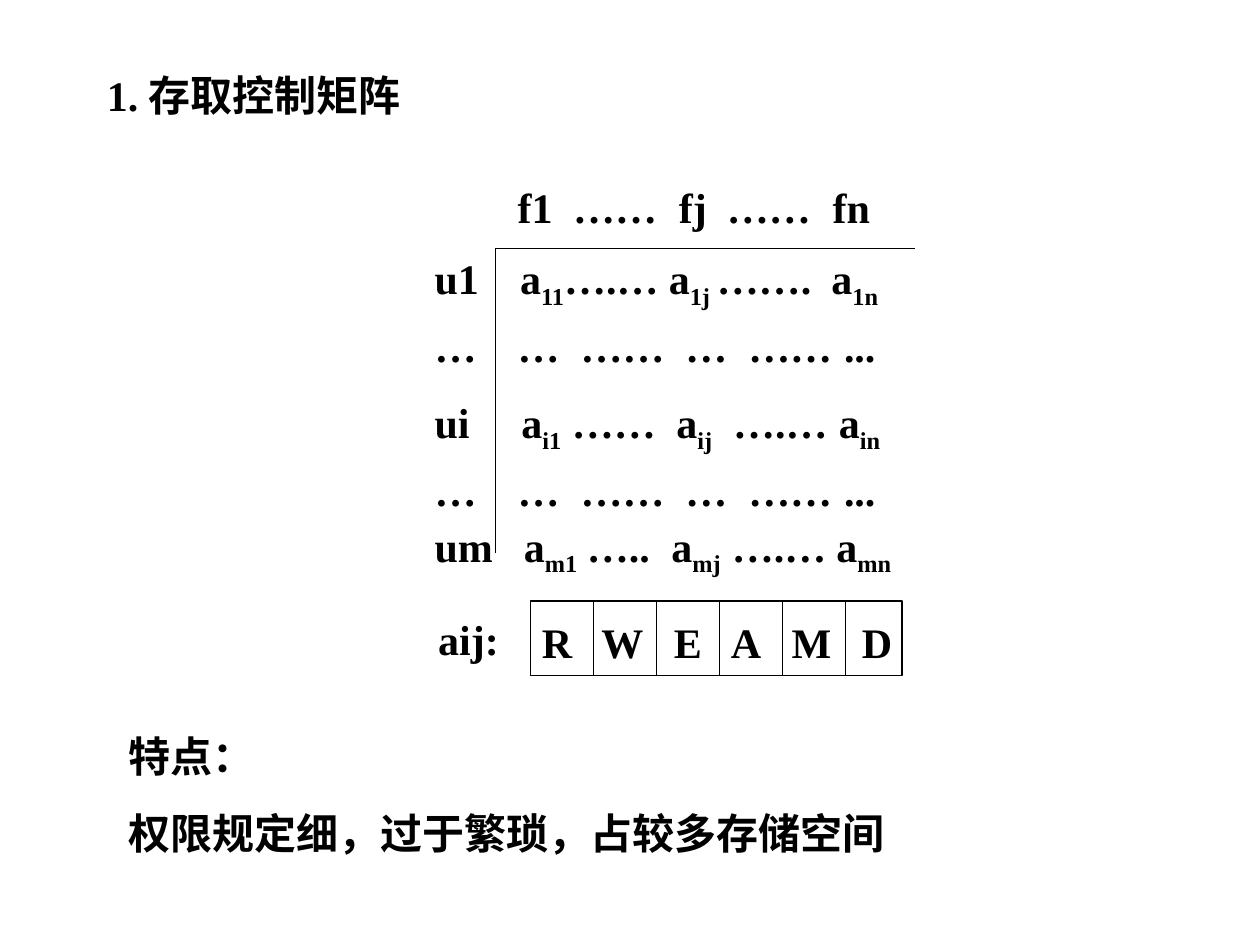
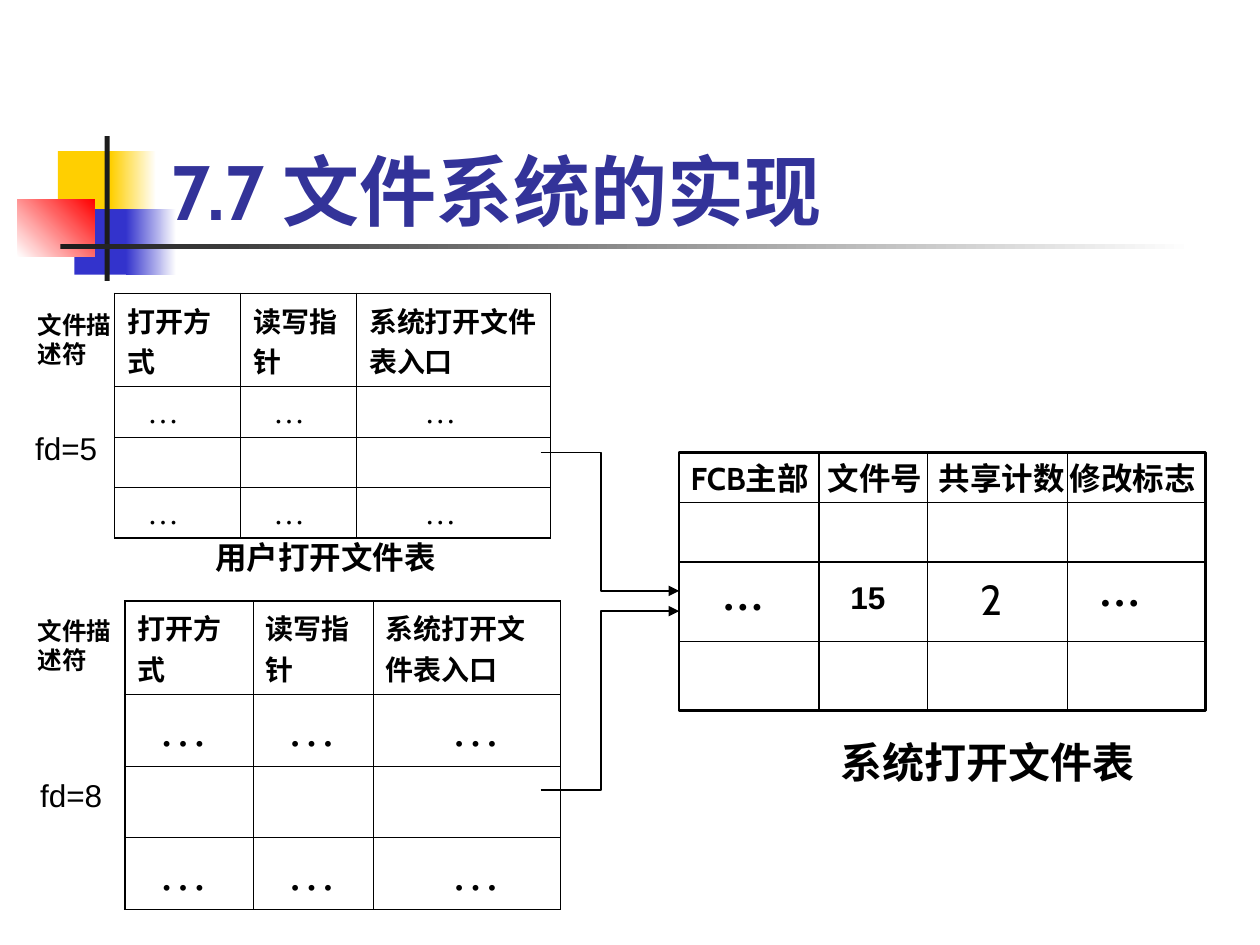
import pptx
import pptx.dml.color
import pptx.enum.shapes
import pptx.enum.text
import pptx.oxml
import pptx.oxml.ns
import pptx.util
from lxml import etree

Inches = pptx.util.Inches
Pt = pptx.util.Pt
ALIGN = pptx.enum.text.PP_ALIGN
ANCHOR = pptx.enum.text.MSO_ANCHOR
qn = pptx.oxml.ns.qn

COLORS = {"ink": "000000", "white": "FFFFFF", "title": "333399", "yellow": "FFCF01",
          "blue": "3333CC", "red": "FF0000", "bar": "1C1C1C"}
SERIF, SANS, HEADING = "Times New Roman", "Arial", "Cabin"
DOTS_ROW = "…\t…\t……\t…\t……\t..."
DOTS_STOPS = (0.66, 1.16, 1.99, 2.49, 3.25)
MATRIX_ROWS = (
    ("\tf1\t……\tfj\t……\tfn", (0.66, 1.1, 1.94, 2.32, 3.16), 0, 1.0),
    ("u1\ta~11~….…\ta~1j~\t…….\ta~1n~", (0.68, 1.86, 2.24, 3.15), 15, 0.8),
    (DOTS_ROW, DOTS_STOPS, 15, 0.8),
    ("ui\ta~i1~\t……\ta~ij~\t….…\ta~in~", (0.69, 1.09, 1.92, 2.37, 3.21), 15, 1.0),
    (DOTS_ROW, DOTS_STOPS, 0, 1.2),
    ("um\ta~m1~\t…..\ta~mj~\t….…\ta~mn~", (0.71, 1.21, 1.88, 2.36, 3.19), 0, 1.1),
)


def rgb(name):
    """Return the colour with the given name."""
    return pptx.dml.color.RGBColor.from_string(COLORS[name])


def style(paragraph, size, font, bold=True, color="ink", align=ALIGN.LEFT):
    """Set the alignment and font of a paragraph."""
    paragraph.alignment = align
    paragraph.font.size = Pt(size)
    paragraph.font.name = font
    paragraph.font.bold = bold
    paragraph.font.color.rgb = rgb(color)


def set_tabs(paragraph, stops, align="l"):
    """Give a paragraph its tab stops, in inches."""
    tabs = etree.SubElement(paragraph._p.get_or_add_pPr(), qn("a:tabLst"))
    for stop in stops:
        etree.SubElement(tabs, qn("a:tab"), pos=str(Inches(stop)), algn=align)


def text_box(slide, left, top, width, height, lines, size, font, gap=0,
             anchor=ANCHOR.TOP, **look):
    """Add a wrapped text box with one paragraph per line."""
    frame = slide.shapes.add_textbox(Inches(left), Inches(top),
                                     Inches(width), Inches(height)).text_frame
    frame.word_wrap = True
    frame.vertical_anchor = anchor
    frame.text = "\n".join(lines)
    for index, paragraph in enumerate(frame.paragraphs):
        if index:
            paragraph.space_before = Pt(gap)
        style(paragraph, size, font, **look)


def rule(slide, x1, y1, x2, y2):
    """Draw a thin straight line."""
    line = slide.shapes.add_connector(pptx.enum.shapes.MSO_CONNECTOR.STRAIGHT,
                                      Inches(x1), Inches(y1), Inches(x2), Inches(y2))
    line.line.color.rgb = rgb("ink")
    line.line.width = Pt(0.75)
    etree.SubElement(line._element.spPr, qn("a:effectLst"))


def ruled_frame(slide, left, top, width, height, outline, columns, rows=()):
    """Draw a box divided at the given offsets and return its text frame."""
    box = slide.shapes.add_shape(pptx.enum.shapes.MSO_SHAPE.RECTANGLE, Inches(left),
                                 Inches(top), Inches(width), Inches(height))
    box.shadow.inherit = False
    box.fill.solid()
    box.fill.fore_color.rgb = rgb("white")
    box.line.color.rgb = rgb("ink")
    box.line.width = Pt(outline)
    for x in columns:
        rule(slide, left + x, top, left + x, top + height)
    for y in rows:
        rule(slide, left, top + y, left + width, top + y)
    box.text_frame.word_wrap = True
    return box.text_frame


def set_border(cell, sides):
    """Draw the borders of a cell, given the width of each side in points."""
    properties = cell._tc.get_or_add_tcPr()
    for index, (side, width) in enumerate(sides.items()):
        properties.insert(index, pptx.oxml.parse_xml(
            f'<a:ln{side} xmlns:a="http://schemas.openxmlformats.org/drawingml/2006/main" '
            f'w="{Pt(width)}"><a:solidFill><a:srgbClr val="{COLORS["ink"]}"/>'
            f'</a:solidFill></a:ln{side}>'))


def ruled_table(slide, left, top, widths, heights, outer, inner):
    """Add an unfilled table with an outer and an inner border width."""
    table = slide.shapes.add_table(len(heights), len(widths), Inches(left), Inches(top),
                                   Inches(sum(widths)), Inches(sum(heights))).table
    table.first_row = table.horz_banding = False
    for column, width in zip(table.columns, widths):
        column.width = Inches(width)
    last_row, last_column = len(heights) - 1, len(widths) - 1
    for r, height in enumerate(heights):
        table.rows[r].height = Inches(height)
        for c in range(len(widths)):
            cell = table.cell(r, c)
            cell.fill.background()
            edges = {"L": c == 0, "R": c == last_column, "T": r == 0, "B": r == last_row}
            set_border(cell, {side: outer if edge else inner for side, edge in edges.items()})
    return table


def fill_cell(cell, text, size, font, **look):
    """Write one styled paragraph into a cell."""
    cell.text = text
    style(cell.text_frame.paragraphs[0], size, font, **look)


def access_matrix(slide, left, top):
    """Draw the matrix of users and files with its two axes."""
    frame = slide.shapes.add_textbox(Inches(left), Inches(top),
                                     Inches(4.58), Inches(3.25)).text_frame
    frame.word_wrap = True
    for index, (row, stops, before, spacing) in enumerate(MATRIX_ROWS):
        paragraph = frame.add_paragraph() if index else frame.paragraphs[0]
        if before:
            paragraph.space_before = Pt(before)
        paragraph.line_spacing = spacing
        set_tabs(paragraph, stops)
        for part, piece in enumerate(row.split("~")):
            if piece:
                run = paragraph.add_run()
                run.text = piece
                if part % 2:
                    run.font._element.set("baseline", "-25000")
        style(paragraph, 24, SERIF)
    x, y = left + 0.58, top + 0.58
    rule(slide, x, y, x, y + 2.42)
    rule(slide, x, y, x + 3.33, y)


def rights_strip(slide, left, top):
    """Draw the access rights held by one matrix element."""
    text_box(slide, left, top + 0.05, 0.76, 0.5, ["aij:"], 24, SERIF)
    rights = ruled_frame(slide, left + 0.83, top, 2.95, 0.59, 0.75,
                         [0.5 * step for step in range(1, 6)])
    rights.margin_left = rights.margin_right = rights.margin_bottom = 0
    rights.vertical_anchor = ANCHOR.MIDDLE
    rights.text = "\tR\tW\tE\tA\tM\tD"
    set_tabs(rights.paragraphs[0], (0.21, 0.73, 1.25, 1.71, 2.23, 2.75), "ctr")
    style(rights.paragraphs[0], 24, SERIF)


def title_band(slide, left, top, title):
    """Draw the coloured blocks, the rules and the title."""
    blocks = (
        (0.32, 0.12, 0.48, 0.52, "yellow", None, 0),
        (0.74, 0.12, 0.36, 0.52, "yellow", "white", 0),
        (0.45, 0.58, 0.46, 0.52, "blue", None, 0),
        (0.86, 0.58, 0.4, 0.52, "blue", "white", 0),
        (0, 0.5, 0.61, 0.46, "white", "red", 45),
        (0.69, 0, 0.04, 1.15, "bar", None, 0),
        (0.34, 0.86, 9, 0.04, "bar", "white", 0),
    )
    for x, y, width, height, start, end, angle in blocks:
        block = slide.shapes.add_shape(
            pptx.enum.shapes.MSO_SHAPE.RECTANGLE, Inches(left + x), Inches(top + y),
            Inches(width), Inches(height))
        block.shadow.inherit = False
        block.line.fill.background()
        if end:
            block.fill.gradient()
            block.fill.gradient_angle = angle
            for stop, color in zip(block.fill.gradient_stops, (start, end)):
                stop.color.rgb = rgb(color)
        else:
            block.fill.solid()
            block.fill.fore_color.rgb = rgb(start)
    text_box(slide, left + 1.12, top - 0.41, 8.52, 1.25, [title], 44, HEADING,
             anchor=ANCHOR.BOTTOM, color="title")


def user_file_table(slide, left, top, widths, row_height, dot_size, dot_margins):
    """Draw one user's table of open files."""
    table = ruled_table(slide, left, top, widths, [0.74] + [row_height] * 3, 1.08, 0.45)
    headers = ("打开方式", "读写指针", "系统打开文件表入口")
    for column, (header, margin) in enumerate(zip(headers, dot_margins)):
        fill_cell(table.cell(0, column), header, 16, HEADING)
        for row in (1, 3):
            cell = table.cell(row, column)
            cell.margin_left = Inches(margin)
            cell.margin_top, cell.margin_bottom = Inches(0.07), Inches(0.03)
            fill_cell(cell, "…", dot_size, SERIF, bold=False)


def descriptor_label(slide, top, fd, fd_left, fd_top):
    """Write the descriptor heading and the descriptor beside a user table."""
    text_box(slide, 0.2, top, 0.79, 0.57, ["文件描述符"], 14, SANS)
    text_box(slide, fd_left, fd_top, 0.79, 0.4, [fd], 18, SANS, bold=False, align=ALIGN.RIGHT)


def system_file_table(slide, left, top):
    """Draw the system table of open files and its caption."""
    headers = ruled_frame(slide, left, top, 4.18, 2.05, 1.5, (1.11, 1.97, 3.08),
                          (0.4, 0.87, 1.5))
    headers.margin_left, headers.margin_right = Inches(0.09), 0
    headers.vertical_anchor = ANCHOR.TOP
    headers.text = "FCB主部\t文件号\t共享计数\t修改标志"
    set_tabs(headers.paragraphs[0], (1.09, 1.97, 3.01))
    style(headers.paragraphs[0], 18, HEADING)
    text_box(slide, left + 0.24, top + 0.87, 0.71, 0.5, ["…"], 24, SERIF)
    text_box(slide, left + 1.26, top + 0.95, 0.55, 0.4, ["15"], 18, SANS)
    text_box(slide, left + 2.29, top + 0.91, 0.39, 0.5, ["2"], 24, HEADING, bold=False)
    text_box(slide, left + 3.23, top + 0.84, 0.71, 0.5, ["…"], 24, SERIF)
    text_box(slide, left + 1.18, top + 2.21, 2.6, 0.5, ["系统打开文件表"], 24, HEADING)


def entry_arrow(slide, left, start_y, end_y):
    """Draw a bent arrow from a user table to the system table."""
    points = [(left, start_y), (left + 0.48, start_y), (left + 0.48, end_y), (left + 1.1, end_y)]
    start, *rest = [(Inches(x), Inches(y)) for x, y in points]
    builder = slide.shapes.build_freeform(*start)
    builder.add_line_segments(rest, close=False)
    arrow = builder.convert_to_shape()
    arrow.shadow.inherit = False
    arrow.fill.background()
    arrow.line.color.rgb = rgb("ink")
    arrow.line.width = Pt(0.75)
    etree.SubElement(arrow.line._get_or_add_ln(), qn("a:tailEnd"), type="triangle")


def matrix_slide(slide):
    """Build the access control matrix slide."""
    text_box(slide, 0.75, 0.5, 7.92, 0.5, ["1. 存取控制矩阵"], 24, SERIF)
    access_matrix(slide, 3.35, 1.39)
    rights_strip(slide, 3.38, 4.77)
    text_box(slide, 0.92, 5.75, 6.42, 1.11,
             ["特点：", "权限规定细，过于繁琐，占较多存储空间"], 24, SERIF, gap=15)


def open_files_slide(slide):
    """Build the slide on user and system open file tables."""
    title_band(slide, 0.14, 1.08, "7.7 文件系统的实现")
    user_file_table(slide, 0.91, 2.33, [1, 0.92, 1.54], 0.4, 18, (0.26, 0.26, 0.54))
    user_file_table(slide, 0.99, 4.77, [1.02, 0.95, 1.49], 0.57, 28, (0.27, 0.27, 0.62))
    descriptor_label(slide, 2.41, "fd=5", 0.08, 3.36)
    descriptor_label(slide, 4.84, "fd=8", 0.12, 6.11)
    text_box(slide, 1.61, 4.22, 2.28, 0.4, ["用户打开文件表"], 18, SANS)
    system_file_table(slide, 5.39, 3.59)
    entry_arrow(slide, 4.29, 3.59, 4.69)
    entry_arrow(slide, 4.29, 6.27, 4.85)


def main():
    """Build and save the presentation."""
    deck = pptx.Presentation()
    deck.slide_width, deck.slide_height = Inches(10), Inches(7.5)
    for build in (matrix_slide, open_files_slide):
        build(deck.slides.add_slide(deck.slide_layouts[6]))
    deck.save("out.pptx")


if __name__ == "__main__":
    main()
